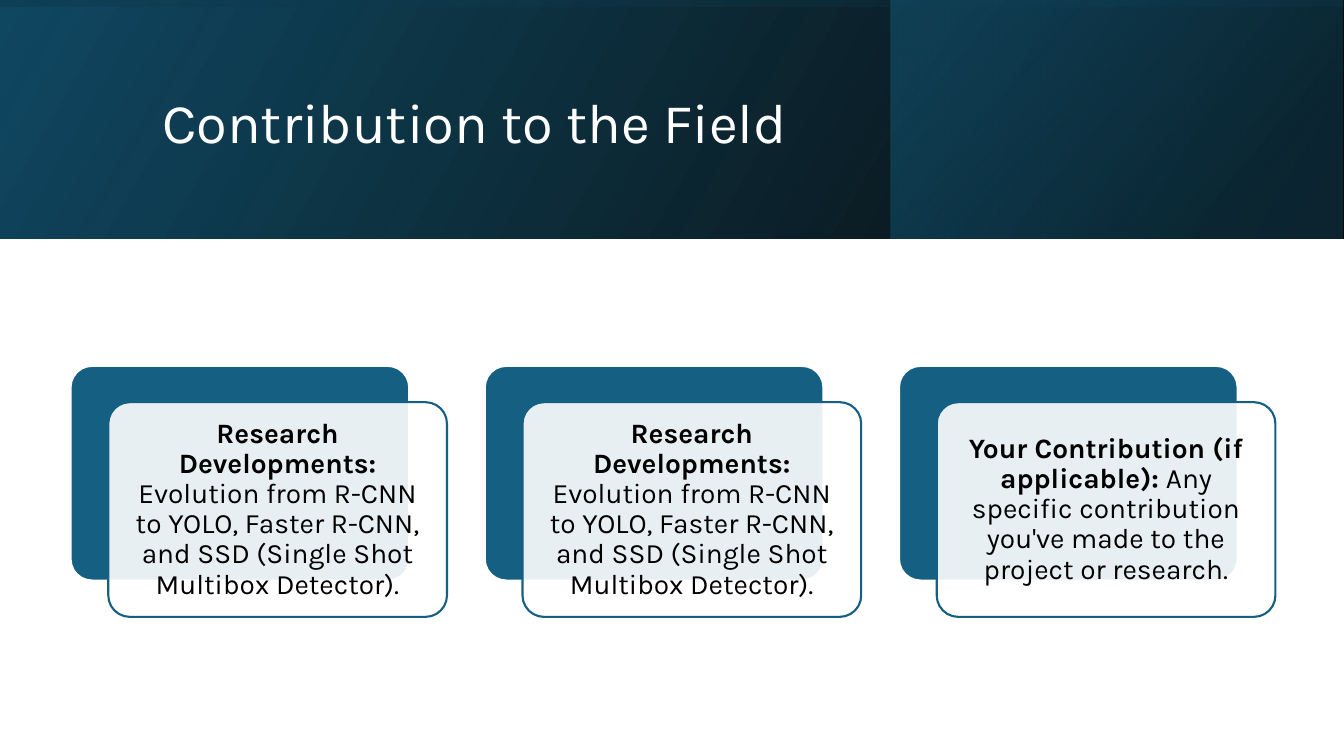
from dataclasses import dataclass
from lxml import etree
from pptx import Presentation
from pptx.dml.color import RGBColor as Color
from pptx.enum.shapes import MSO_SHAPE as Kind
from pptx.enum.text import MSO_ANCHOR as Anchor, MSO_AUTO_SIZE as Fit, PP_ALIGN as Align
from pptx.oxml import parse_xml
from pptx.oxml.ns import nsdecls, qn
from pptx.util import Inches, Pt


@dataclass(frozen=True)
class Theme:
    font: str = "Karla"
    head: int = 40
    body: int = 20
    rim: float = 1.5
    blue: str = "156082"
    navy: str = "104862"
    deep: str = "0B3041"
    black: str = "000000"
    white: str = "FFFFFF"


class Deck:
    """Holds the theme and the slide; boxes are percent of the slide's size."""

    def __init__(self, theme):
        self.theme = theme
        self.file = Presentation()
        self.file.slide_width = Inches(13.33)
        self.file.slide_height = Inches(7.5)
        self.slide = self.file.slides.add_slide(self.file.slide_layouts[5])
        self.group = None

    def place(self, x, y, w, h):
        wide, high = self.file.slide_width / 100, self.file.slide_height / 100
        return [int(v) for v in (x * wide, y * high, w * wide, h * high)]

    def words(self, frame, runs, size, color, align):
        frame.word_wrap = True
        frame.auto_size = Fit.NONE
        frame.vertical_anchor = Anchor.MIDDLE
        para = frame.paragraphs[0]
        para.alignment = align
        para.line_spacing = 0.9
        for text, bold in runs:
            run = para.add_run()
            run.text = text
            font = run.font
            font.name, font.size, font.bold = self.theme.font, Pt(size), bold
            font.color.rgb = Color.from_string(color)

    def band(self, box, stops, angle, turned=False):
        """Mirrored gradient band; stops are (position, colour, opacity)."""
        x, y, w, h = self.place(*box)
        if turned:
            x, y, w, h = x + (w - h) // 2, y + (h - w) // 2, h, w
        shape = self.slide.shapes.add_shape(Kind.RECTANGLE, x, y, w, h)
        shape.shadow.inherit = False
        shape.rotation = 270 if turned else 0
        shape.line.fill.background()
        props = shape._element.spPr
        props.find(qn("a:xfrm")).set("flipH", "1")
        marks = "".join(
            f'<a:gs pos="{pos * 1000}"><a:srgbClr val="{color}">'
            f'<a:alpha val="{alpha * 1000}"/></a:srgbClr></a:gs>'
            for pos, color, alpha in stops)
        props.find(qn("a:prstGeom")).addnext(parse_xml(
            f'<a:gradFill {nsdecls("a")} rotWithShape="1"><a:gsLst>{marks}</a:gsLst>'
            f'<a:lin ang="{angle * 60000}" scaled="0"/></a:gradFill>'))

    def title(self, box, text):
        head = self.slide.shapes.title
        head.left, head.top, head.width, head.height = self.place(*box)
        self.words(head.text_frame, [(text, False)], self.theme.head,
                   self.theme.white, Align.LEFT)
        self.slide.shapes._spTree.append(head._element)

    def panel(self, box, fill, rim, alpha=100):
        if self.group is None:
            self.group = self.slide.shapes.add_group_shape()
        shape = self.group.shapes.add_shape(Kind.ROUNDED_RECTANGLE, *self.place(*box))
        shape.shadow.inherit = False
        shape.adjustments[0] = 0.1
        shape.fill.solid()
        shape.fill.fore_color.rgb = Color.from_string(fill)
        shape.line.color.rgb = Color.from_string(rim)
        shape.line.width = Pt(self.theme.rim)
        if alpha < 100:
            tint = shape._element.spPr.find(qn("a:solidFill"))[0]
            etree.SubElement(tint, qn("a:alpha")).set("val", str(alpha * 1000))
        return shape

    def card(self, x, y, w, h, runs):
        look = self.theme
        self.panel((x, y, w, h), look.blue, look.white)
        front = self.panel((x + 2.81, y + 4.8, w, h), look.white, look.blue, 90)
        frame = front.text_frame
        frame.margin_left = frame.margin_right = Inches(0.08)
        frame.margin_top = frame.margin_bottom = Inches(0.08)
        self.words(frame, runs, look.body, look.black, Align.CENTER)


def main():
    look = Theme()
    deck = Deck(look)

    # Header band in three layers
    high = 31.6
    full = (0, 0, 100, high)
    deck.band(full, [(0, look.black, 96), (100, look.navy, 100)], 330)
    deck.band((66.3, 0, 33.6, high), [(19, look.deep, 68), (100, look.blue, 48)], 320)
    deck.band(full, [(23, look.navy, 16), (99, look.black, 45)], 350, turned=True)
    deck.title((11.33, 5.07, 79.74, 22.93), "Contribution to the Field")

    # Row of cards
    growth = ("Research Developments:",
              " Evolution from R-CNN to YOLO, Faster R-CNN, and SSD (Single Shot Multibox Detector).")
    yours = ("Your Contribution (if applicable):",
             " Any specific contribution you've made to the project or research.")
    for col, (lead, rest) in enumerate([growth, growth, yours]):
        deck.card(5.25 + col * 30.82, 48.4, 25.2, 28.4, [(lead, True), (rest, False)])

    deck.file.save("out.pptx")


if __name__ == "__main__":
    main()
